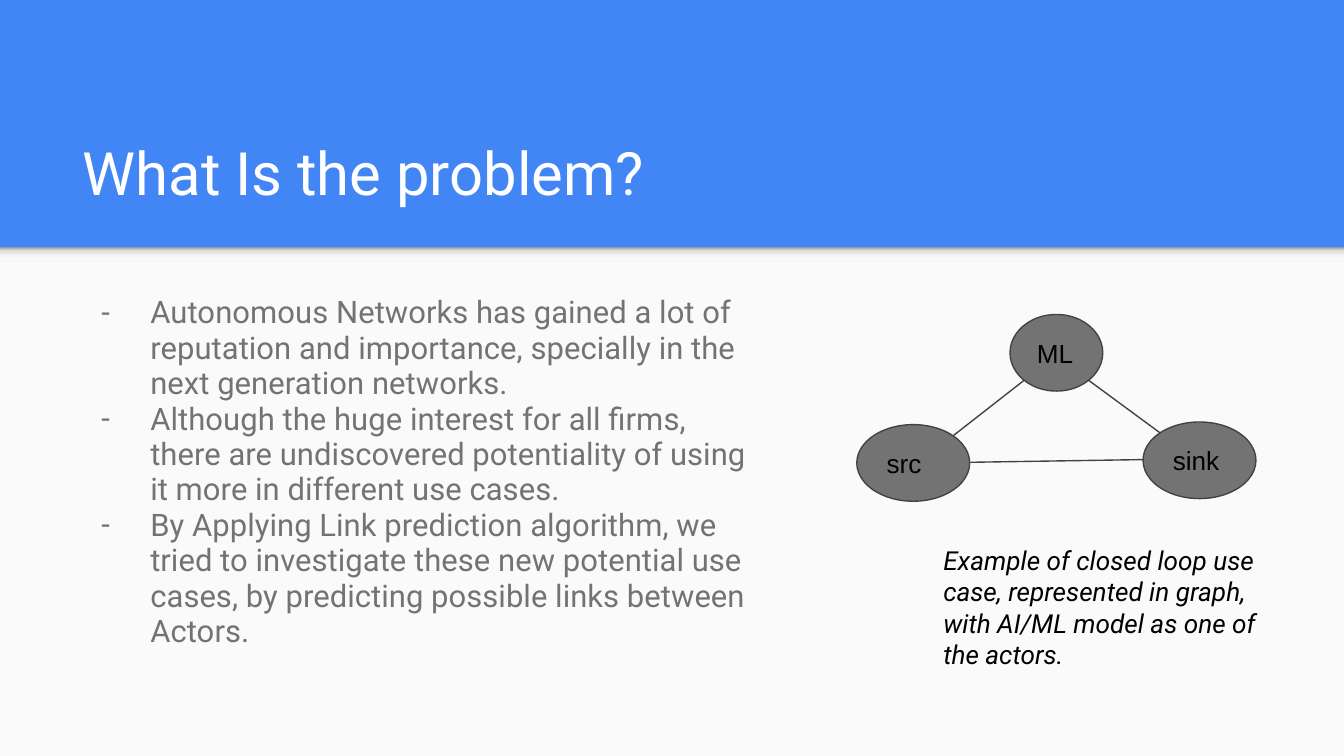
"""Build the problem statement slide with a small closed loop graph."""
from copy import deepcopy

from lxml import etree
from pptx import Presentation
from pptx import util as u
from pptx.dml.color import RGBColor
from pptx.enum import shapes, text
from pptx.oxml.ns import qn

PX = u.Inches(1) // 200
WIDTH, HEIGHT, BANNER = 2000, 1125, 368
COLORS = {
    "banner": "4285F4", "panel": "FAFAFA", "title": "FFFFFF", "body": "737373",
    "node": "737373", "outline": "424242", "ink": "000000",
}
SHADE = [(0, "F9F9F9"), (0.36, "F9F9F9"), (0.8, "DEDEDE"), (1, "999999")]
REASONS = [
    "Autonomous Networks has gained a lot of reputation and importance, "
    "specially in the next generation networks.",
    "Although the huge interest for all firms, there are undiscovered "
    "potentiality of using it more in different use cases.",
    "By Applying Link prediction algorithm, we tried to investigate these new "
    "potential use cases, by predicting possible links between Actors.",
]
ACTORS = [("src", 1275, 632, 168), ("ML", 1503, 468, 138), ("sink", 1701, 628, 168)]
LINKS = [(1419, 648, 1524, 566), (1620, 566, 1726, 644), (1444, 688, 1701, 684)]


def frame(owner, anchor):
    area = owner.text_frame
    area.word_wrap = True
    area.auto_size = text.MSO_AUTO_SIZE.NONE
    area.vertical_anchor = anchor
    area.margin_left = area.margin_right = 20 * PX
    area.margin_top = area.margin_bottom = 20 * PX
    return area


def write(paragraph, words, size, color, font="Roboto", italic=None):
    paragraph.alignment = text.PP_ALIGN.LEFT
    run = paragraph.add_run()
    run.text = words
    run.font.size = u.Pt(size)
    run.font.name = font
    run.font.italic = italic
    run.font.color.rgb = RGBColor.from_string(COLORS[color])


deck = Presentation()
deck.slide_width, deck.slide_height = WIDTH * PX, HEIGHT * PX
slide = deck.slides.add_slide(deck.slide_layouts[5])
slide.background.fill.solid()
slide.background.fill.fore_color.rgb = RGBColor.from_string(COLORS["banner"])

title = slide.shapes.title
title.left, title.top, title.width, title.height = 103 * PX, 161 * PX, 1798 * PX, 168 * PX
heading = frame(title, text.MSO_ANCHOR.BOTTOM)
write(heading.paragraphs[0], "What Is the problem?", 32, "title")

panel = slide.shapes.add_shape(
    shapes.MSO_SHAPE.RECTANGLE, 0, BANNER * PX, WIDTH * PX, (HEIGHT - BANNER) * PX)
panel.shadow.inherit = False
panel.fill.solid()
panel.fill.fore_color.rgb = RGBColor.from_string(COLORS["panel"])
panel.line.fill.background()

edge = slide.shapes.add_shape(
    shapes.MSO_SHAPE.RECTANGLE, 0, BANNER * PX, WIDTH * PX, 24 * PX)
edge.shadow.inherit = False
edge.line.fill.background()
edge.fill.gradient()
edge.fill.gradient_angle = 90
stops = edge._element.spPr.find(".//" + qn("a:gsLst"))
for _ in range(len(SHADE) - len(stops)):
    stops.append(deepcopy(stops[0]))
for stop, (position, shade) in zip(edge.fill.gradient_stops, SHADE):
    stop.position = position
    stop.color.rgb = RGBColor.from_string(shade)

body = slide.shapes.add_textbox(104 * PX, 420 * PX, 1038 * PX, 592 * PX)
reasons = frame(body, text.MSO_ANCHOR.TOP)
for index, reason in enumerate(REASONS):
    paragraph = reasons.add_paragraph() if index else reasons.paragraphs[0]
    paragraph.line_spacing = 0.95
    write(paragraph, reason, 16.65, "body")
    props = paragraph._p.get_or_add_pPr()
    props.set("marL", str(100 * PX))
    props.set("indent", str(-73 * PX))
    bullet_color = etree.SubElement(props, qn("a:buClr"))
    etree.SubElement(bullet_color, qn("a:srgbClr"), val=COLORS["body"])
    etree.SubElement(props, qn("a:buFont"), typeface="Roboto")
    etree.SubElement(props, qn("a:buChar"), char="-")

for name, left, top, width in ACTORS:
    actor = slide.shapes.add_shape(
        shapes.MSO_SHAPE.OVAL, left * PX, top * PX, width * PX, 114 * PX)
    actor.shadow.inherit = False
    actor.fill.solid()
    actor.fill.fore_color.rgb = RGBColor.from_string(COLORS["node"])
    actor.line.color.rgb = RGBColor.from_string(COLORS["outline"])
    actor.line.width = u.Pt(0.75)
    label = frame(actor, text.MSO_ANCHOR.MIDDLE)
    write(label.paragraphs[0], name, 14, "ink", font="Arial")

for ends in LINKS:
    link = slide.shapes.add_connector(
        shapes.MSO_CONNECTOR.STRAIGHT, *[end * PX for end in ends])
    link.line.color.rgb = RGBColor.from_string(COLORS["outline"])
    link.line.width = u.Pt(0.75)
    etree.SubElement(link._element.spPr, qn("a:effectLst"))

caption = slide.shapes.add_textbox(1384 * PX, 790 * PX, 518 * PX, 228 * PX)
note = frame(caption, text.MSO_ANCHOR.TOP)
note.auto_size = text.MSO_AUTO_SIZE.SHAPE_TO_FIT_TEXT
write(note.paragraphs[0],
      "Example of closed loop use case, represented in graph, "
      "with AI/ML model as one of the actors.", 14, "ink", italic=True)

deck.save("out.pptx")
